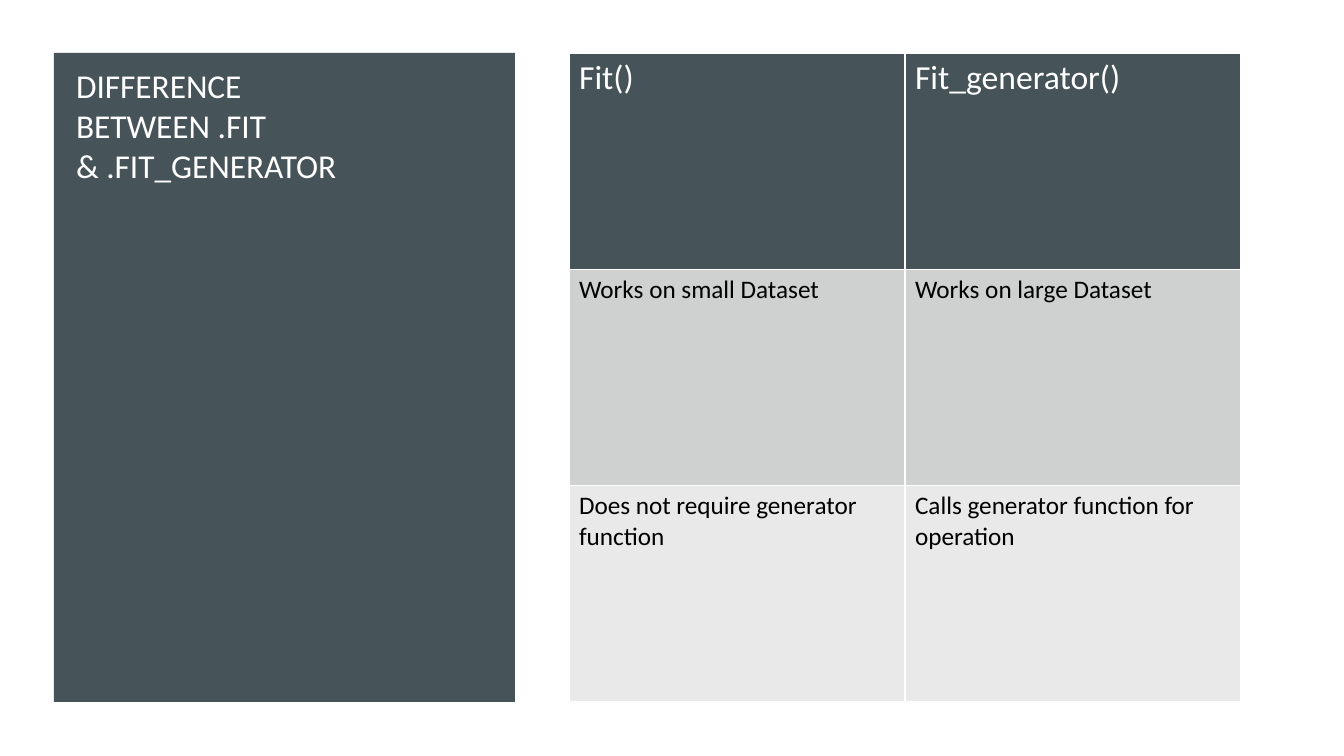
from dataclasses import dataclass

from lxml.etree import SubElement
from pptx import Presentation
from pptx.dml.color import RGBColor
from pptx.enum.shapes import MSO_SHAPE
from pptx.enum.text import MSO_ANCHOR, MSO_AUTO_SIZE, PP_ALIGN
from pptx.oxml.ns import qn
from pptx.util import Pt

HEADING = "DIFFERENCE\vBETWEEN .FIT\v& .FIT_GENERATOR"
COMPARISON = [
    ("Fit()", "Fit_generator()"),
    ("Works on small Dataset", "Works on large Dataset"),
    ("Does not require generator function", "Calls generator function for operation"),
]


@dataclass(frozen=True)
class Theme:
    font: str = "Calibri"
    slate: str = "465359"
    white: str = "FFFFFF"
    black: str = "000000"
    bands: tuple = ("CFD1D1", "E9E9EA")
    heading_size: float = 23.8
    header_size: int = 24
    body_size: int = 18
    border: int = 1


THEME = Theme()
PX = 914400 / 100.8
SLIDE_WIDTH, SLIDE_HEIGHT = 1344, 756
TOP, HEIGHT = 53, 649
PANEL_LEFT, PANEL_WIDTH = 54, 461
TABLE_LEFT, COLUMN_WIDTH = 569, 336
HEADING_BOX = (66, 78, 376, 112)


def px(*lengths):
    return [round(length * PX) for length in lengths]


def style(paragraph, size, color):
    paragraph.font.name = THEME.font
    paragraph.font.size = Pt(size)
    paragraph.font.bold = False
    paragraph.font.color.rgb = RGBColor.from_string(color)


def add_borders(cell):
    properties = cell._tc.get_or_add_tcPr()
    for side in ("a:lnL", "a:lnR", "a:lnT", "a:lnB"):
        line = SubElement(properties, qn(side), w=str(Pt(THEME.border)))
        SubElement(SubElement(line, qn("a:solidFill")), qn("a:srgbClr"), val=THEME.white)


def add_panel(slide):
    panel = slide.shapes.add_shape(
        MSO_SHAPE.RECTANGLE, *px(PANEL_LEFT, TOP, PANEL_WIDTH, HEIGHT)
    )
    panel.shadow.inherit = False
    panel.fill.solid()
    panel.fill.fore_color.rgb = RGBColor.from_string(THEME.slate)
    panel.line.fill.background()


def place_heading(slide):
    heading = slide.shapes.title
    heading.left, heading.top, heading.width, heading.height = px(*HEADING_BOX)
    frame = heading.text_frame
    frame.text = HEADING
    frame.word_wrap = True
    frame.auto_size = MSO_AUTO_SIZE.NONE
    frame.vertical_anchor = MSO_ANCHOR.BOTTOM
    paragraph = frame.paragraphs[0]
    paragraph.alignment = PP_ALIGN.LEFT
    style(paragraph, THEME.heading_size, THEME.white)
    slide.shapes.element.append(heading.element)


def add_comparison(slide):
    row_count, column_count = len(COMPARISON), len(COMPARISON[0])
    table = slide.shapes.add_table(
        row_count, column_count, *px(TABLE_LEFT, TOP, COLUMN_WIDTH * column_count, HEIGHT)
    ).table
    for row_index, row in enumerate(COMPARISON):
        is_header = row_index == 0
        fill = THEME.slate if is_header else THEME.bands[(row_index - 1) % 2]
        color = THEME.white if is_header else THEME.black
        size = THEME.header_size if is_header else THEME.body_size
        for column_index, wording in enumerate(row):
            cell = table.cell(row_index, column_index)
            cell.text = wording
            add_borders(cell)
            cell.fill.solid()
            cell.fill.fore_color.rgb = RGBColor.from_string(fill)
            style(cell.text_frame.paragraphs[0], size, color)


def main():
    deck = Presentation()
    deck.slide_width, deck.slide_height = px(SLIDE_WIDTH, SLIDE_HEIGHT)
    slide = deck.slides.add_slide(deck.slide_layouts[5])
    add_panel(slide)
    place_heading(slide)
    add_comparison(slide)
    deck.save("out.pptx")


if __name__ == "__main__":
    main()
